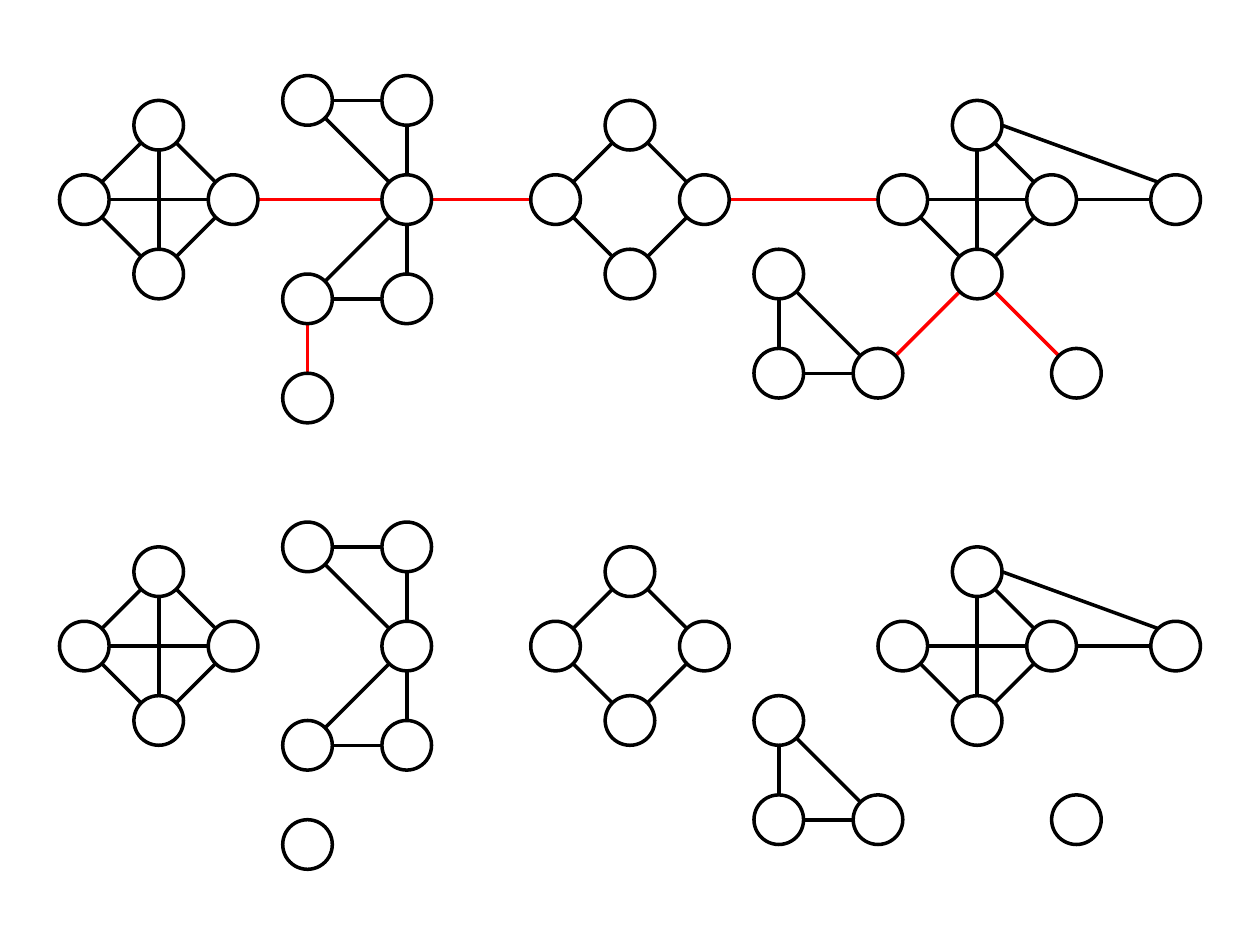
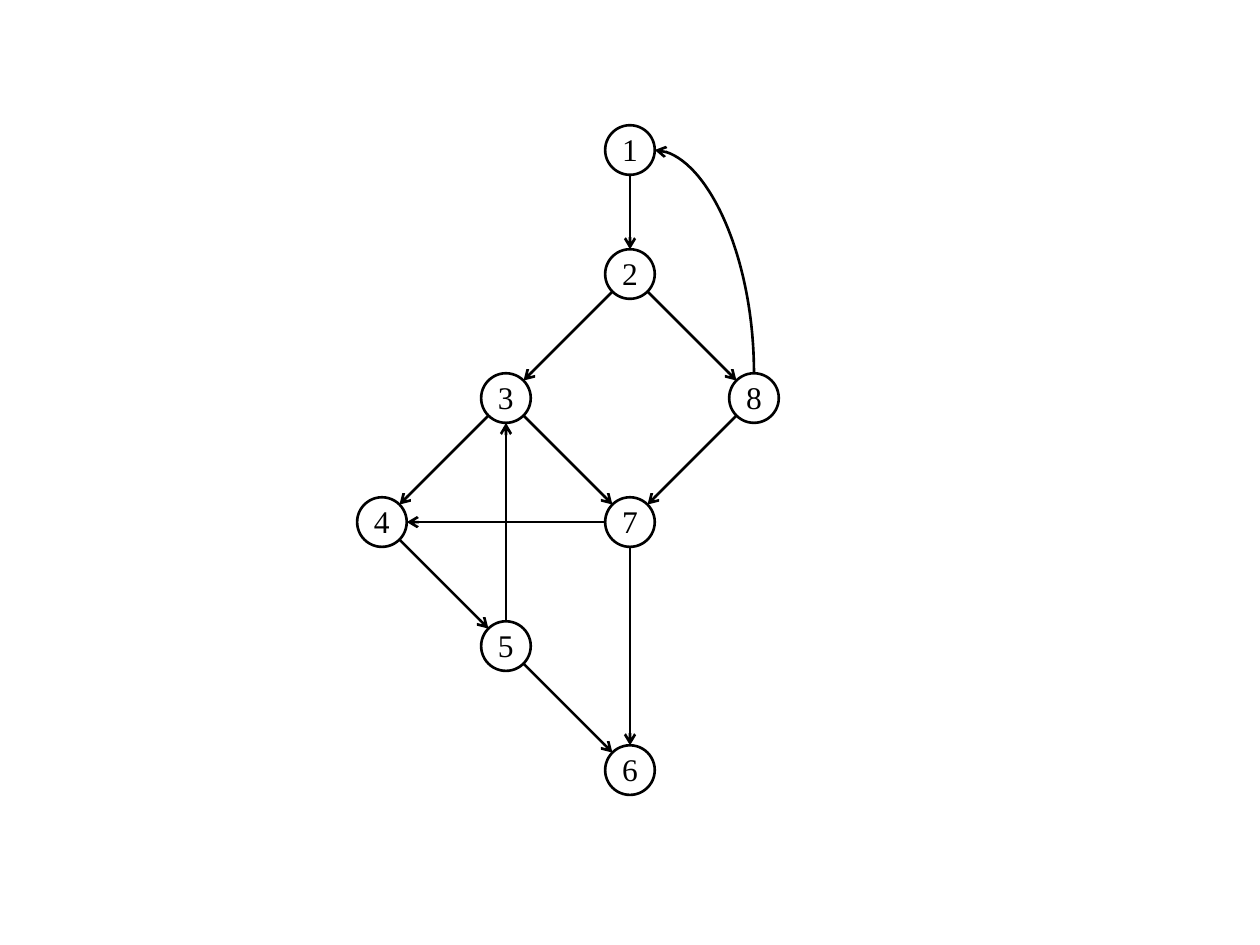
from math import atan2, cos, pi, sin

from lxml.etree import SubElement
from pptx import Presentation
from pptx.dml.color import RGBColor
from pptx.enum.shapes import MSO_CONNECTOR, MSO_SHAPE
from pptx.enum.text import MSO_ANCHOR, PP_ALIGN
from pptx.oxml.ns import qn
from pptx.util import Cm, Inches, Pt

COLORS = {"ink": "000000", "paper": "FFFFFF", "bridge": "FF0000"}
FONT = "Times New Roman"
GRID = Cm(0.5)
WIDTH, HEIGHT = Inches(10), Inches(7.5)

GRAPH_ROWS = {"whole": -11, "split": 7}
GRAPH_NODES = {
    "a_left": (-22, 0), "a_right": (-16, 0), "a_top": (-19, -3), "a_bottom": (-19, 3),
    "b_mid": (-9, 0), "b_top": (-9, -4), "b_bottom": (-9, 4),
    "b_top_left": (-13, -4), "b_bottom_left": (-13, 4), "b_leaf": (-13, 8),
    "c_left": (-3, 0), "c_right": (3, 0), "c_top": (0, -3), "c_bottom": (0, 3),
    "d_left": (11, 0), "d_right": (17, 0), "d_top": (14, -3), "d_bottom": (14, 3),
    "d_far": (22, 0), "d_leaf": (18, 7),
    "e_top": (6, 3), "e_left": (6, 7), "e_right": (10, 7),
}
INNER_EDGES = [
    ("a_left", "a_top"), ("a_top", "a_right"), ("a_left", "a_bottom"),
    ("a_bottom", "a_right"), ("a_left", "a_right"), ("a_top", "a_bottom"),
    ("b_top_left", "b_top"), ("b_top", "b_mid"), ("b_top_left", "b_mid"),
    ("b_bottom", "b_mid"), ("b_bottom_left", "b_bottom"), ("b_bottom_left", "b_mid"),
    ("c_left", "c_top"), ("c_top", "c_right"),
    ("c_left", "c_bottom"), ("c_bottom", "c_right"),
    ("d_top", "d_right"), ("d_left", "d_bottom"), ("d_bottom", "d_right"),
    ("d_top", "d_far"), ("d_top", "d_bottom"), ("d_left", "d_right"),
    ("d_right", "d_far"),
    ("e_left", "e_top"), ("e_left", "e_right"), ("e_top", "e_right"),
]
BRIDGES = [
    ("a_right", "b_mid"), ("b_leaf", "b_bottom_left"), ("b_mid", "c_left"),
    ("c_right", "d_left"), ("e_right", "d_bottom"), ("d_bottom", "d_leaf"),
]

FLOW_NODES = {
    "1": (0, -13), "2": (0, -8), "3": (-5, -3), "4": (-10, 2),
    "5": (-5, 7), "6": (0, 12), "7": (0, 2), "8": (5, -3),
}
FLOW_ARROWS = ["12", "23", "28", "34", "37", "45", "56", "74", "76", "87", "53"]


def color(name):
    return RGBColor.from_string(COLORS[name])


def place(col, row):
    return round(WIDTH / 2 + col * GRID), round(HEIGHT / 2 + row * GRID)


def rim(center, target):
    angle = atan2(target[1] - center[1], target[0] - center[0])
    angle = round(angle / (pi / 4)) * pi / 4
    return center[0] + cos(angle), center[1] + sin(angle)


def write(sp, text, size=18, font=FONT, ink="ink", align=PP_ALIGN.CENTER):
    tf = sp.text_frame
    tf.word_wrap = False
    tf.vertical_anchor = MSO_ANCHOR.MIDDLE
    tf.margin_left = tf.margin_right = Inches(0.1)
    tf.margin_top, tf.margin_bottom = Inches(0.04), Inches(0.06)
    p = tf.paragraphs[0]
    p.alignment = align
    r = p.add_run()
    r.text = text
    r.font.size, r.font.name = Pt(size), font
    r.font.color.rgb = color(ink)


def add_node(s, center, weight, label=None):
    x, y = place(*center)
    sp = s.shapes.add_shape(MSO_SHAPE.OVAL, x - GRID, y - GRID, 2 * GRID, 2 * GRID)
    sp.shadow.inherit = False
    sp.fill.solid()
    sp.fill.fore_color.rgb = color("paper")
    sp.line.color.rgb = color("ink")
    sp.line.width = Pt(weight)
    if label:
        write(sp, label)


def add_line(s, start, end, weight, ink="ink", arrow=None, kind=MSO_CONNECTOR.STRAIGHT):
    line = s.shapes.add_connector(kind, *place(*start), *place(*end))
    line.line.color.rgb = color(ink)
    line.line.width = Pt(weight)
    props = line._element.spPr
    if arrow:
        SubElement(props.find(qn("a:ln")), qn(f"a:{arrow}End"), type="arrow")
    SubElement(props, qn("a:effectLst"))
    return line


def add_edge(s, start, end, weight, **style):
    leave = rim(start, end)
    add_line(s, leave, rim(end, leave), weight, **style)


def add_return_curve(s, target, source, weight):
    right = target[0] + 1, target[1]
    top = source[0], source[1] - 1
    curve = add_line(s, right, top, weight, arrow="head", kind=MSO_CONNECTOR.CURVE)
    curve._element.spPr.find(qn("a:prstGeom")).set("prst", "curvedConnector2")


def add_graph(s, axis, edge_groups, weight=2):
    nodes = {name: (col, axis + row) for name, (col, row) in GRAPH_NODES.items()}
    for ink, edges in edge_groups.items():
        for start, end in edges:
            add_edge(s, nodes[start], nodes[end], weight, ink=ink)
    for center in nodes.values():
        add_node(s, center, weight)


def add_flow(s, weight=1.5):
    for label, center in FLOW_NODES.items():
        add_node(s, center, weight, label)
    for start, end in FLOW_ARROWS:
        add_edge(s, FLOW_NODES[start], FLOW_NODES[end], weight, arrow="tail")
    add_return_curve(s, FLOW_NODES["1"], FLOW_NODES["8"], weight)


def main():
    prs = Presentation()
    prs.slide_width, prs.slide_height = WIDTH, HEIGHT
    blank = prs.slide_layouts[6]

    s = prs.slides.add_slide(blank)
    add_graph(s, GRAPH_ROWS["split"], {"ink": INNER_EDGES})
    add_graph(s, GRAPH_ROWS["whole"], {"ink": INNER_EDGES, "bridge": BRIDGES})

    add_flow(prs.slides.add_slide(blank))
    prs.save("out.pptx")


if __name__ == "__main__":
    main()
